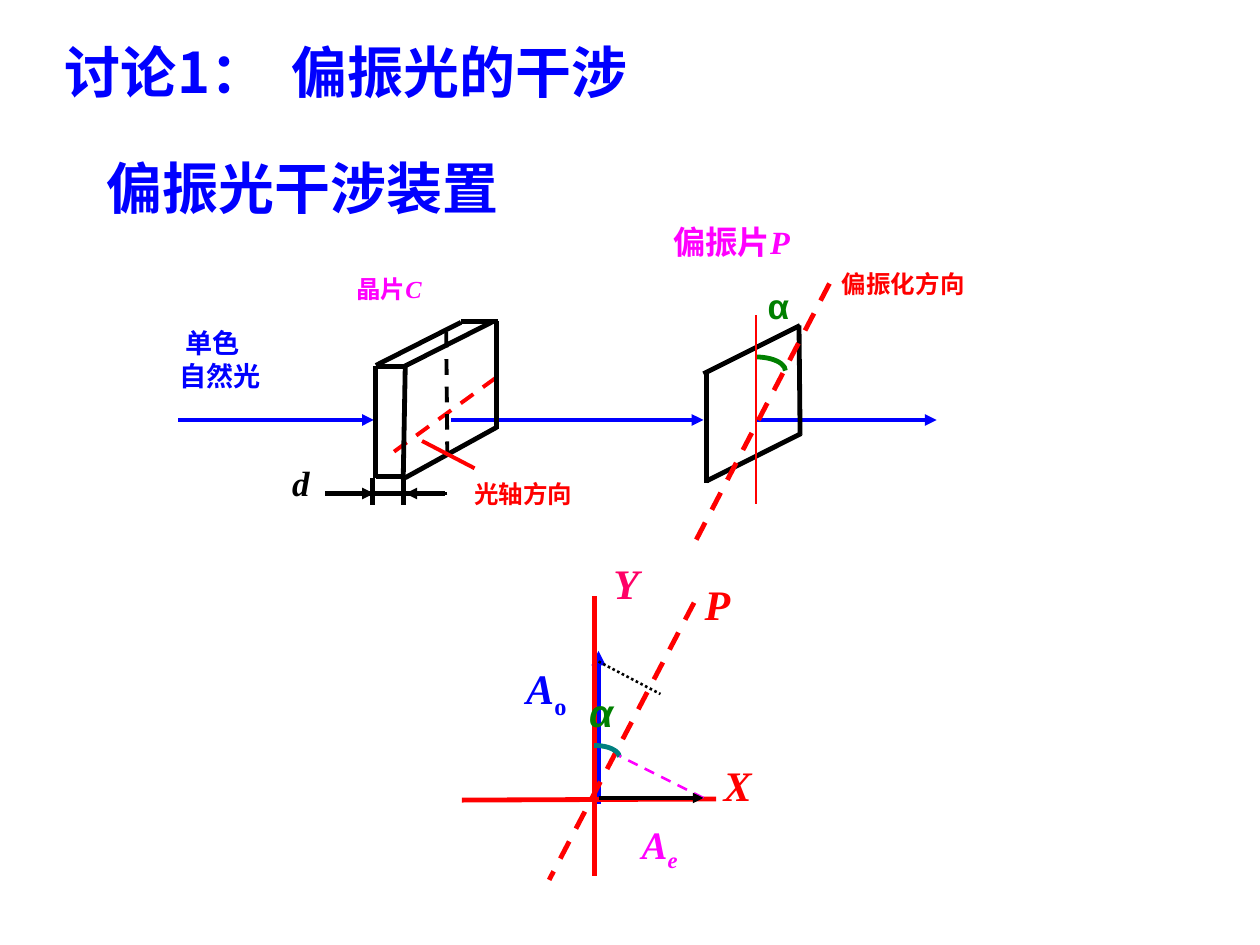
from dataclasses import dataclass
from typing import Optional

import lxml.etree
import pptx
import pptx.dml.color
import pptx.enum.dml
import pptx.enum.shapes
import pptx.enum.text
import pptx.oxml.ns
import pptx.util

RGB = pptx.dml.color.RGBColor
BLUE = RGB(0x00, 0x00, 0xFF)
RED = RGB(0xFF, 0x00, 0x00)
BLACK = RGB(0x00, 0x00, 0x00)
MAGENTA = RGB(0xFF, 0x00, 0xFF)
GREEN = RGB(0x00, 0x80, 0x00)
TEAL = RGB(0x00, 0x80, 0x80)
ROSE = RGB(0xFF, 0x00, 0x66)

DASH = pptx.enum.dml.MSO_LINE.DASH
DOT = pptx.enum.dml.MSO_LINE.ROUND_DOT
CJK = "Noto Sans CJK SC"
SERIF = "Times New Roman"
SANS = "Arial"
COLUMNS, ROWS = 120, 90

prs = pptx.Presentation()
prs.slide_width = pptx.util.Inches(10)
prs.slide_height = pptx.util.Inches(7.5)
s = prs.slides.add_slide(prs.slide_layouts[6])


@dataclass
class Line:
    x1: float
    y1: float
    x2: float
    y2: float
    color: RGB = BLACK
    width: float = 2.75
    dash: Optional[pptx.enum.dml.MSO_LINE] = None
    arrow: bool = False


@dataclass
class Arc:
    x: float
    y: float
    rx: float
    ry: float
    color: RGB


@dataclass
class Run:
    text: str
    italic: bool = False
    subscript: bool = False


def col(n: float) -> int:
    return round(prs.slide_width * n / COLUMNS)


def row(n: float) -> int:
    return round(prs.slide_height * n / ROWS)


def draw_line(line: Line) -> None:
    c = s.shapes.add_connector(
        pptx.enum.shapes.MSO_CONNECTOR.STRAIGHT,
        col(line.x1), row(line.y1), col(line.x2), row(line.y2))
    c.line.color.rgb = line.color
    c.line.width = pptx.util.Pt(line.width)
    if line.dash:
        c.line.dash_style = line.dash
    if line.arrow:
        lxml.etree.SubElement(c.line._get_or_add_ln(),
                              pptx.oxml.ns.qn("a:tailEnd"), type="triangle")
    lxml.etree.SubElement(c._element.spPr, pptx.oxml.ns.qn("a:effectLst"))


def draw_arc(arc: Arc) -> None:
    sp = s.shapes.add_shape(
        pptx.enum.shapes.MSO_SHAPE.ARC, col(arc.x - arc.rx), row(arc.y),
        col(2 * arc.rx), row(2 * arc.ry))
    sp.shadow.inherit = False
    sp.fill.background()
    sp.line.color.rgb = arc.color
    sp.line.width = pptx.util.Pt(2.75)


def add_text(paragraphs: list[list[Run]], x: float, y: float, w: float, h: float, *,
             size: float, color: RGB, font: str = SERIF, padded: bool = False,
             spacing: float = 1.0) -> None:
    tf = s.shapes.add_textbox(col(x), row(y), col(w), row(h)).text_frame
    tf.word_wrap = True
    tf.margin_left = tf.margin_right = pptx.util.Inches(0.1 if padded else 0.01)
    tf.margin_top = tf.margin_bottom = pptx.util.Inches(0.05 if padded else 0.01)
    for i, runs in enumerate(paragraphs):
        p = tf.add_paragraph() if i else tf.paragraphs[0]
        p.alignment = pptx.enum.text.PP_ALIGN.JUSTIFY
        p.line_spacing = spacing
        for run in runs:
            r = p.add_run()
            r.text = run.text
            r.font.name = font
            r.font.size = pptx.util.Pt(size)
            r.font.bold = True
            r.font.italic = run.italic
            r.font.color.rgb = color
            rPr = r.font._element
            if run.subscript:
                rPr.set("baseline", "-25000")
            rPr.find(pptx.oxml.ns.qn("a:latin")).addnext(
                rPr.makeelement(pptx.oxml.ns.qn("a:ea"), {"typeface": CJK}))


def draw_headings() -> None:
    add_text([[Run("讨论1：  偏振光的干涉")]], 5, 3, 76.7, 7.7,
             size=32, color=BLUE, font=CJK, padded=True)
    add_text([[Run("偏振光干涉装置")]], 9, 14, 55, 7.7,
             size=32, color=BLUE, font=CJK, padded=True)


def draw_rays() -> None:
    for start, end in ((43, 67), (72, 89.2), (17, 35.6)):
        draw_line(Line(start, 40, end, 40, BLUE, 2.25, arrow=True))
    add_text([[Run(" 单色")], [Run("自然光")]], 17, 31, 15.6, 7, size=15.5, color=BLUE)


def draw_crystal() -> None:
    for line in (
        Line(47.2, 36, 37, 43.4, RED, 2.25, DASH),
        Line(42.5, 31.6, 42.6, 43.3, width=2.25, dash=DASH),
        Line(38.4, 45.5, 38.4, 48.1),
        Line(35.5, 45.5, 35.5, 48.1),
        Line(38.5, 34.9, 47, 30.6),
        Line(47.3, 30.6, 47.3, 40.9),
        Line(38.6, 45.5, 47.3, 40.7),
        Line(38.6, 34.7, 38.4, 45.7),
        Line(35.8, 34.8, 43.9, 30.7),
        Line(35.8, 34.9, 35.8, 45.5),
        Line(35.8, 34.9, 38.6, 34.9),
        Line(43.9, 30.6, 47.4, 30.6),
        Line(35.8, 45.4, 38.6, 45.4),
        Line(40.2, 42, 45.2, 44.6, RED, 2.25),
        Line(31, 47, 42.4, 47),
        Line(31.6, 47, 35.6, 47, width=2.25, arrow=True),
        Line(42.6, 47, 38.6, 47, width=2.25, arrow=True),
    ):
        draw_line(line)
    add_text([[Run("d", True)]], 27.7, 43.8, 6.4, 5.4, size=20, color=BLACK)
    add_text([[Run("晶片"), Run("C", True)]], 33.8, 26, 15.7, 3.1, size=14, color=MAGENTA)
    add_text([[Run("光轴方向")]], 44, 45, 19, 4.3, size=14, color=RED, padded=True)


def draw_polariser() -> None:
    draw_arc(Arc(72, 34, 2.8, 1.3, GREEN))
    add_text([[Run("α")]], 73, 27, 6, 5, size=20, color=GREEN, font=SANS)
    add_text([[Run("偏振片"), Run("P", True)]], 64, 21, 20.2, 4.2, size=18.5, color=MAGENTA)
    add_text([[Run("偏振化方向")]], 79, 25, 25.3, 4.3, size=14, color=RED, padded=True)
    for line in (
        Line(67, 35.6, 76.2, 31),
        Line(76.1, 31, 76.2, 41.4),
        Line(67.3, 45.8, 76.3, 41.3),
        Line(67.3, 35.5, 67.3, 46),
        Line(79, 27, 66, 52, RED, dash=DASH),
        Line(72, 30, 72, 48, RED, 1.5),
    ):
        draw_line(line)


def draw_amplitudes() -> None:
    for line in (
        Line(57, 76.6, 57, 62, BLUE, arrow=True),
        Line(57, 63, 62.9, 66.1, BLACK, 1.5, DOT),
        Line(44, 76.2, 68.2, 76.1, RED),
        Line(56.6, 56.8, 56.6, 83.4, RED),
        Line(66.1, 57.4, 52.3, 83.8, RED, dash=DASH),
    ):
        draw_line(line)
    draw_arc(Arc(56.6, 71, 2.4, 1.1, TEAL))
    add_text([[Run("A", True), Run("o", subscript=True)]], 50, 63, 5.2, 6.2,
             size=24, color=BLUE)
    add_text([[Run("A", True), Run("e", True, True)]], 61, 78, 7.7, 5.6,
             size=22.2, color=MAGENTA)
    for name, x, y, color in (("X", 68.8, 72.2, RED), ("Y", 58.3, 53, ROSE), ("P", 67, 55, RED)):
        add_text([[Run(name, True)]], x, y, 5.8, 6, size=24, color=color)
    add_text([[Run("α", True)]], 56, 66, 6.5, 5, size=22.2, color=GREEN,
             font=SANS, spacing=0.9)
    draw_line(Line(67, 76, 59, 72, MAGENTA, 1.5, DASH))
    draw_line(Line(57, 76, 67, 76, width=2, arrow=True))


if __name__ == "__main__":
    draw_headings()
    draw_rays()
    draw_crystal()
    draw_polariser()
    draw_amplitudes()
    prs.save("out.pptx")
